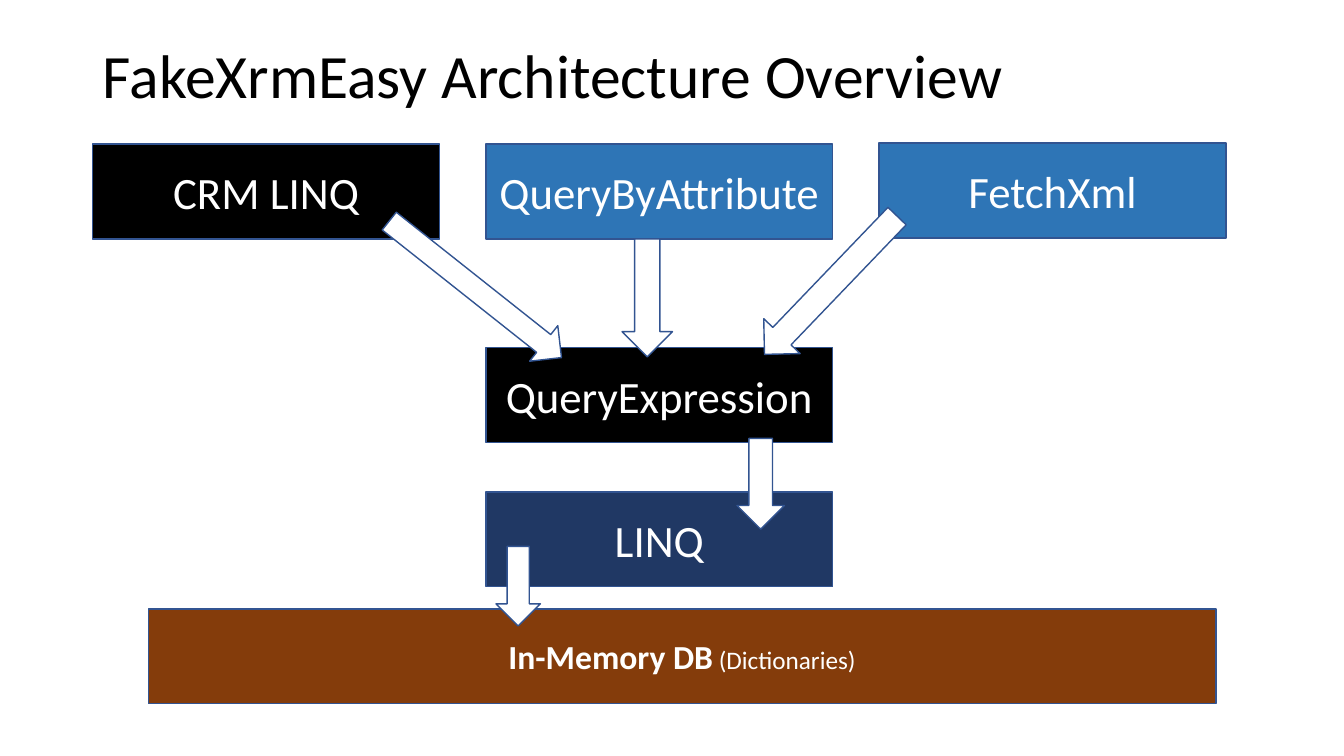
from pptx import Presentation
from pptx.dml.color import RGBColor
from pptx.enum.shapes import MSO_SHAPE as SHAPE
from pptx.enum.text import MSO_ANCHOR as ANCHOR, MSO_AUTO_SIZE as AUTO, PP_ALIGN as ALIGN
from pptx.util import Inches, Pt

BLACK = RGBColor(0x00, 0x00, 0x00)
WHITE = RGBColor(0xFF, 0xFF, 0xFF)
BLUE = RGBColor(0x2E, 0x75, 0xB6)
NAVY = RGBColor(0x20, 0x38, 0x64)
BROWN = RGBColor(0x84, 0x3C, 0x0B)
OUTLINE = RGBColor(0x32, 0x54, 0x91)

BOX_W, BOX_H = 3.44, 0.94
COL_STEP = 3.9


def add_outlined(slide, kind, box, fill):
    sp = slide.shapes.add_shape(kind, *(Inches(v) for v in box))
    sp.shadow.inherit = False
    sp.fill.solid()
    sp.fill.fore_color.rgb = fill
    sp.line.color.rgb = OUTLINE
    sp.line.width = Pt(1)
    return sp


def add_run(p, text, size, color, bold=None):
    r = p.add_run()
    r.text = text
    r.font.name = "Calibri"
    r.font.size = Pt(size)
    r.font.color.rgb = color
    r.font.bold = bold


def add_block(slide, box, fill, runs):
    """Add a labelled box; runs holds (text, size, bold) tuples."""
    tf = add_outlined(slide, SHAPE.RECTANGLE, box, fill).text_frame
    tf.word_wrap = True
    tf.vertical_anchor = ANCHOR.MIDDLE
    p = tf.paragraphs[0]
    p.alignment = ALIGN.CENTER
    for text, size, bold in runs:
        add_run(p, text, size, WHITE, bold)


def add_title(slide, box, text):
    title = slide.shapes.title
    title.left, title.top, title.width, title.height = (Inches(v) for v in box)
    tf = title.text_frame
    tf.auto_size = AUTO.NONE
    tf.word_wrap = True
    tf.vertical_anchor = ANCHOR.MIDDLE
    p = tf.paragraphs[0]
    p.alignment = ALIGN.LEFT
    p.line_spacing = 0.9
    add_run(p, text, 44, BLACK)


def add_layers(slide, left, top):
    """Place the query sources, the two middle layers and the database."""
    middle = left + COL_STEP
    blocks = [
        ("CRM LINQ", left, top, BLACK),
        ("QueryByAttribute", middle, top, BLUE),
        ("FetchXml", middle + COL_STEP, top - 0.01, BLUE),
        ("QueryExpression", middle, top + 2.02, BLACK),
        ("LINQ", middle, top + 3.45, NAVY),
    ]
    for text, x, y, fill in blocks:
        add_block(slide, (x, y, BOX_W, BOX_H), fill, [(text, 32, None)])
    add_block(slide, (left + 0.55, top + 4.61, 10.59, BOX_H), BROWN,
              [("In-Memory DB", 24, True), (" ", 18, True), ("(Dictionaries)", 18, False)])


def add_arrows(slide, left, top):
    """Place the flow arrows; each has offsets, width, length and rotation."""
    arrows = [
        (6.39, 2.92, 0.47, 0.9, 0),
        (4.0, 3.99, 0.44, 0.79, 0),
        (5.25, 0.94, 0.5, 1.17, 0),
        (3.57, 0.35, 0.45, 2.18, 308.4),
        (7.07, 0.45, 0.5, 1.9, 43.8),
    ]
    for dx, dy, width, length, angle in arrows:
        box = (left + dx, top + dy, width, length)
        add_outlined(slide, SHAPE.DOWN_ARROW, box, WHITE).rotation = angle


def main():
    prs = Presentation()
    prs.slide_width, prs.slide_height = Inches(13.33), Inches(7.5)
    slide = prs.slides.add_slide(prs.slide_layouts[5])
    add_title(slide, (0.92, 0.05, 11.5, 1.45), "FakeXrmEasy Architecture Overview")
    add_layers(slide, 0.92, 1.43)
    add_arrows(slide, 0.92, 1.43)
    prs.save("out.pptx")


if __name__ == "__main__":
    main()
